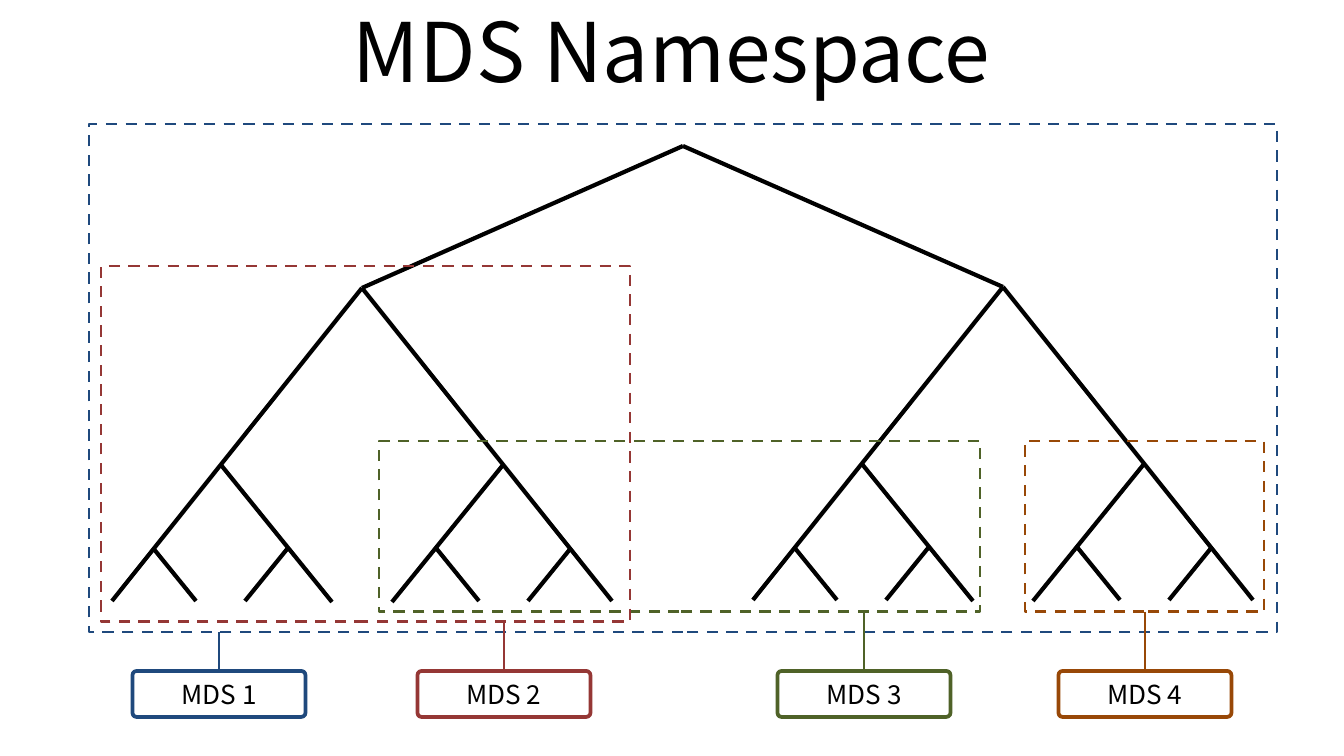
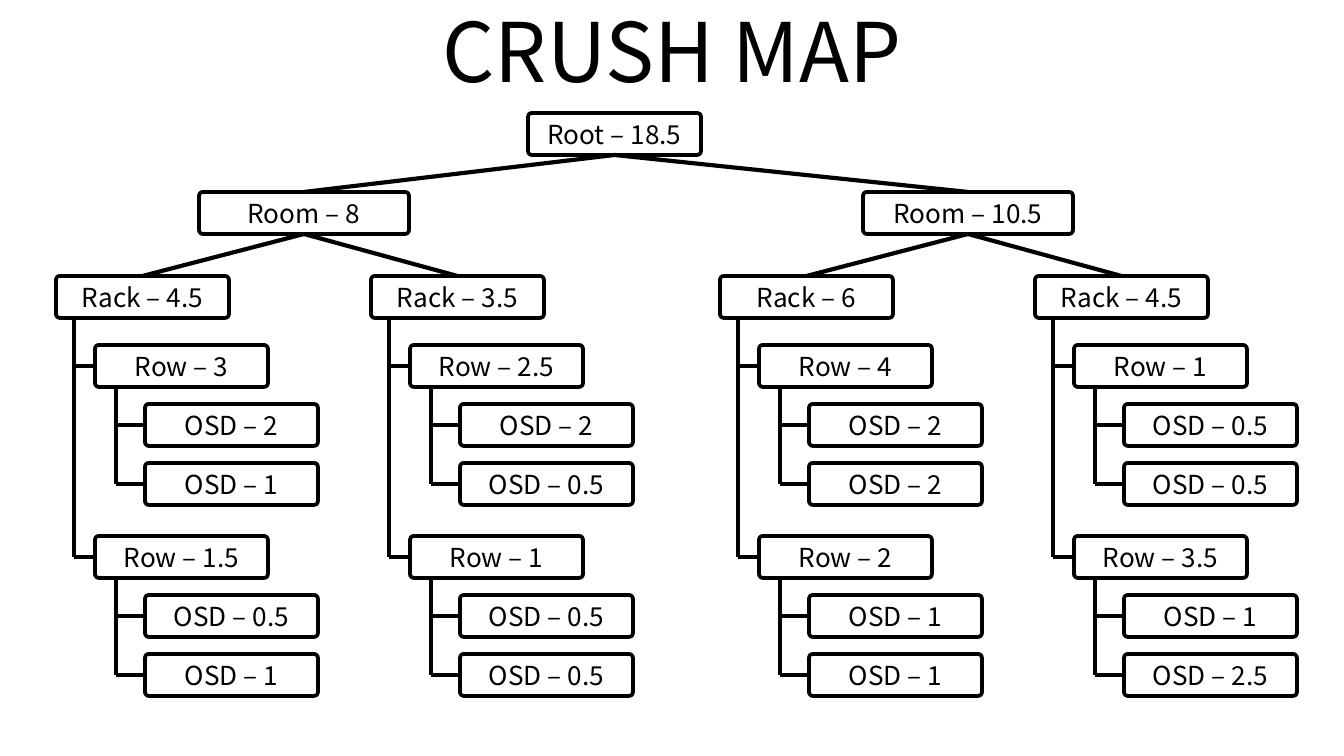
from pptx import Presentation
from pptx.dml.color import RGBColor
from pptx.enum.dml import MSO_LINE_DASH_STYLE as Dash
from pptx.enum.shapes import MSO_CONNECTOR_TYPE as Connector, MSO_SHAPE as Preset
from pptx.enum.text import MSO_ANCHOR as Anchor, PP_ALIGN as Align
from pptx.oxml.ns import qn
from pptx.util import Pt
from lxml.etree import SubElement

BLACK = RGBColor(0, 0, 0)
WHITE = RGBColor(0xFF, 0xFF, 0xFF)
BLUE = RGBColor(0x1F, 0x49, 0x7D)
RED = RGBColor(0x95, 0x37, 0x35)
GREEN = RGBColor(0x4F, 0x62, 0x28)
BROWN = RGBColor(0x98, 0x48, 0x07)

FONT = "Noto Sans CJK KR"
SCALE = 914400 / 134.4
SLIDE_WIDTH, SLIDE_HEIGHT = 1344, 756
TITLE_BOX = (67, -13, 1210, 126)

TAG_WIDTH, TAG_HEIGHT, TAG_TOP = 173, 46, 671
NODE_WIDTH, NODE_HEIGHT, ROOM_WIDTH = 173, 42, 210
ROOM_TOP = 192
RACK_DROP, RACK_OFFSETS = 84, (-143, 172)
ROW_INDENT, ROW_DROP, ROW_STEP, RACK_STEM = 39, 69, 191, 18
OSD_INDENT, OSD_STEP, ROW_STEM = 50, 59, 21


def px(*lengths):
    return [round(length * SCALE) for length in lengths]


def write_text(shape, text, size=14, color=BLACK, align=Align.CENTER, wrap=True):
    frame = shape.text_frame
    frame.word_wrap = wrap
    frame.vertical_anchor = Anchor.MIDDLE
    paragraph = frame.paragraphs[0]
    paragraph.alignment = align
    run = paragraph.add_run()
    run.text = text
    run.font.name = FONT
    run.font.size = Pt(size)
    run.font.color.rgb = color


def add_line(shapes, start, end, color=BLACK, width=2.25):
    line = shapes.add_connector(Connector.STRAIGHT, *px(*start, *end))
    line.line.color.rgb = color
    line.line.width = Pt(width)
    SubElement(line._element.spPr, qn("a:effectLst"))


def add_node(slide, text, left, top, width=NODE_WIDTH, height=NODE_HEIGHT, color=BLACK):
    shape = slide.shapes.add_shape(Preset.ROUNDED_RECTANGLE, *px(left, top, width, height))
    shape.adjustments[0] = 0.09
    shape.shadow.inherit = False
    shape.fill.solid()
    shape.fill.fore_color.rgb = WHITE
    shape.line.color.rgb = color
    shape.line.width = Pt(2)
    write_text(shape, text, wrap=False)


def add_dashed_frame(slide, box, color):
    shape = slide.shapes.add_shape(Preset.RECTANGLE, *px(*box))
    shape.shadow.inherit = False
    shape.fill.background()
    shape.line.color.rgb = color
    shape.line.width = Pt(1.5)
    shape.line.dash_style = Dash.DASH


def add_titled_slide(presentation, title):
    slide = presentation.slides.add_slide(presentation.slide_layouts[6])
    write_text(slide.shapes.add_textbox(*px(*TITLE_BOX)), title, size=44)
    return slide


def draw_subtree(slide, apex, hub):
    shapes = slide.shapes.add_group_shape().shapes
    x, y = hub
    add_line(shapes, apex, hub)
    for side in (-1, 1):
        for start, end in (
            ((0, 0), (250, 313)),
            ((141, 177), (30, 314)),
            ((209, 260), (166, 313)),
            ((74, 260), (117, 313)),
        ):
            add_line(shapes, (x + side * start[0], y + start[1]),
                     (x + side * end[0], y + end[1]))


def draw_tag(slide, name, center, frame_bottom, color):
    add_line(slide.shapes, (center, frame_bottom), (center, TAG_TOP), color, 1.5)
    add_node(slide, name, center - TAG_WIDTH / 2, TAG_TOP, TAG_WIDTH, TAG_HEIGHT, color)


def draw_namespace(slide):
    apex = (683, 146)
    for hub in ((362, 288), (1003, 287)):
        draw_subtree(slide, apex, hub)
    servers = (
        ("MDS 1", BLUE, (89, 124, 1188, 508), 219),
        ("MDS 3", GREEN, (379, 441, 601, 171), 864),
        ("MDS 4", BROWN, (1025, 441, 239, 171), 1145),
        ("MDS 2", RED, (101, 266, 529, 356), 504),
    )
    for name, color, box, center in servers:
        add_dashed_frame(slide, box, color)
    for name, color, box, center in servers:
        draw_tag(slide, name, center, box[1] + box[3], color)


def draw_bracket(slide, stem, top, child_left, child_tops):
    middles = [child_top + NODE_HEIGHT / 2 for child_top in child_tops]
    add_line(slide.shapes, (stem, top), (stem, middles[-1]))
    for middle in middles:
        add_line(slide.shapes, (stem, middle), (child_left, middle))


def draw_row(slide, left, top, weight, osd_weights):
    add_node(slide, f"Row – {weight}", left, top)
    osd_left = left + OSD_INDENT
    osd_tops = [top + OSD_STEP * (index + 1) for index in range(len(osd_weights))]
    for osd_top, osd_weight in zip(osd_tops, osd_weights):
        add_node(slide, f"OSD – {osd_weight}", osd_left, osd_top)
    draw_bracket(slide, left + ROW_STEM, top + NODE_HEIGHT, osd_left, osd_tops)


def draw_rack(slide, left, top, weight, rows):
    add_node(slide, f"Rack – {weight}", left, top)
    row_left = left + ROW_INDENT
    row_tops = [top + ROW_DROP + ROW_STEP * index for index in range(len(rows))]
    for row_top, row in zip(row_tops, rows):
        draw_row(slide, row_left, row_top, *row)
    draw_bracket(slide, left + RACK_STEM, top + NODE_HEIGHT, row_left, row_tops)


def draw_room(slide, left, top, weight, racks):
    add_node(slide, f"Room – {weight}", left, top, ROOM_WIDTH)
    rack_top = top + RACK_DROP
    for offset, rack in zip(RACK_OFFSETS, racks):
        rack_left = left + offset
        draw_rack(slide, rack_left, rack_top, *rack)
        add_line(slide.shapes, (left + ROOM_WIDTH / 2, top + NODE_HEIGHT),
                 (rack_left + NODE_WIDTH / 2, rack_top))


def draw_crush_map(slide, left, top, weight, rooms):
    add_node(slide, f"Root – {weight}", left, top)
    for room_left, room in zip((199, 863), rooms):
        draw_room(slide, room_left, ROOM_TOP, *room)
        add_line(slide.shapes, (left + NODE_WIDTH / 2, top + NODE_HEIGHT),
                 (room_left + ROOM_WIDTH / 2, ROOM_TOP))


ROOMS = (
    ("8", (
        ("4.5", (("3", ("2", "1")), ("1.5", ("0.5", "1")))),
        ("3.5", (("2.5", ("2", "0.5")), ("1", ("0.5", "0.5")))),
    )),
    ("10.5", (
        ("6", (("4", ("2", "2")), ("2", ("1", "1")))),
        ("4.5", (("1", ("0.5", "0.5")), ("3.5", ("1", "2.5")))),
    )),
)

presentation = Presentation()
presentation.slide_width, presentation.slide_height = px(SLIDE_WIDTH, SLIDE_HEIGHT)
draw_namespace(add_titled_slide(presentation, "MDS Namespace"))
draw_crush_map(add_titled_slide(presentation, "CRUSH MAP"), 528, 113, "18.5", ROOMS)
presentation.save("out.pptx")
